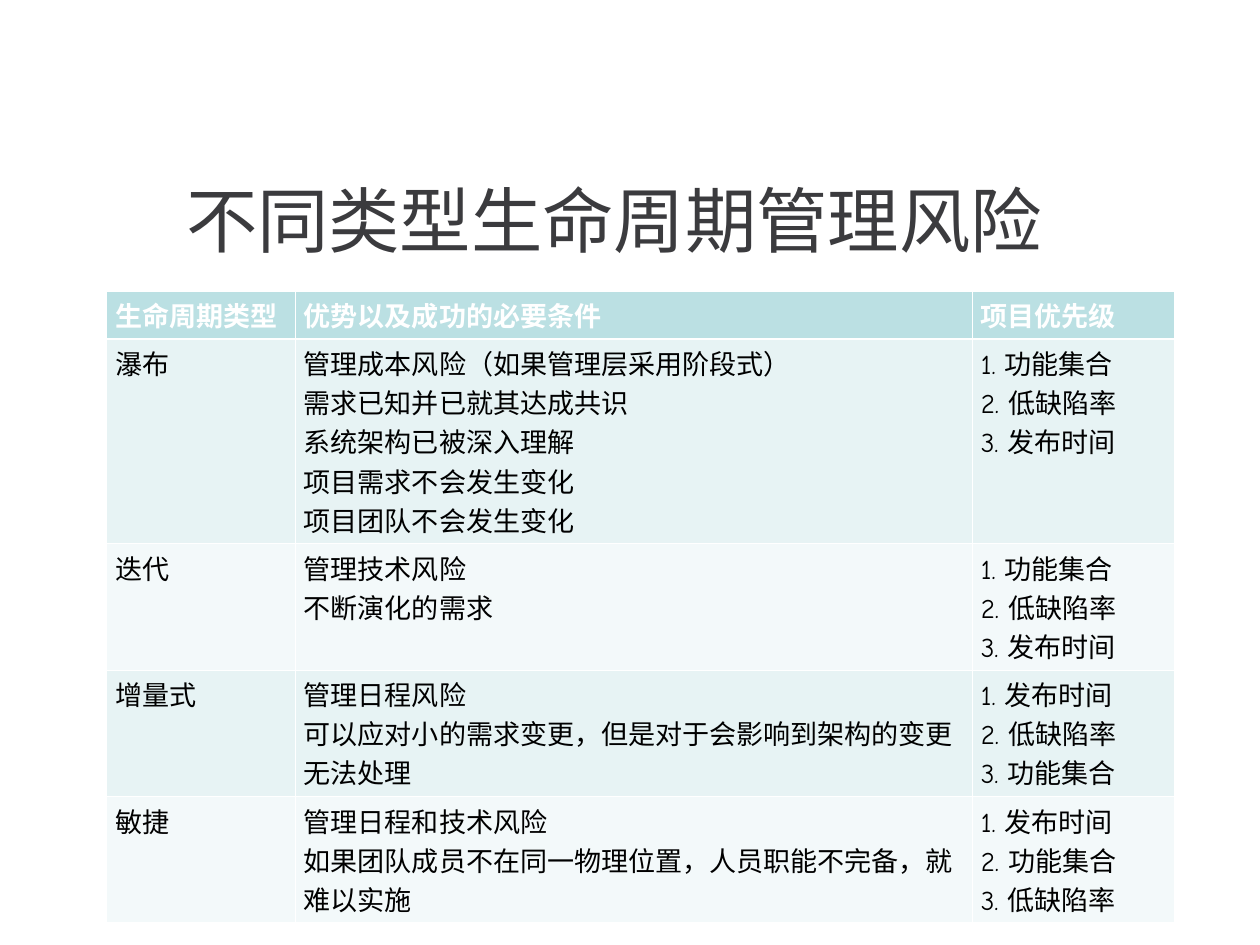
from dataclasses import dataclass

from lxml import etree
from pptx import Presentation
from pptx import util as u
from pptx.dml.color import RGBColor
from pptx.enum import lang, text
from pptx.oxml import ns

PX = u.Inches(1) // 100


@dataclass(frozen=True)
class Theme:
    title_font: str = "Karla"
    body_font: str = "Comic Neue"
    title_size: int = 58
    body_size: int = 22
    title_color: str = "3B3B3E"
    body_color: str = "000000"
    white: str = "FFFFFF"
    header_fill: str = "BBE0E3"
    row_fills: tuple = ("E7F3F4", "F3F9FA")
    thin_border: float = 0.45
    header_border: float = 1.47


THEME = Theme()
COLUMN_WIDTHS = (213, 764, 228)
ROW_HEIGHTS = (49, 193, 120, 121, 121)
HEADERS = ("生命周期类型", "优势以及成功的必要条件", "项目优先级")
LIFE_CYCLES = (
    ("瀑布",
     ("管理成本风险（如果管理层采用阶段式）", "需求已知并已就其达成共识",
      "系统架构已被深入理解", "项目需求不会发生变化", "项目团队不会发生变化"),
     ("功能集合", "低缺陷率", "发布时间")),
    ("迭代",
     ("管理技术风险", "不断演化的需求"),
     ("功能集合", "低缺陷率", "发布时间")),
    ("增量式",
     ("管理日程风险", "可以应对小的需求变更，但是对于会影响到架构的变更无法处理"),
     ("发布时间", "低缺陷率", "功能集合")),
    ("敏捷",
     ("管理日程和技术风险", "如果团队成员不在同一物理位置，人员职能不完备，就难以实施"),
     ("发布时间", "功能集合", "低缺陷率")),
)


def write_text(frame, lines, *, font=THEME.body_font, size=THEME.body_size,
               color=THEME.body_color, bold=False):
    """Fill a text frame with one left-aligned paragraph per line."""
    for index, line in enumerate(lines):
        paragraph = frame.paragraphs[0] if index == 0 else frame.add_paragraph()
        paragraph.alignment = text.PP_ALIGN.LEFT
        run = paragraph.add_run()
        run.text = line
        run.font.name = font
        run.font.size = u.Pt(size)
        run.font.bold = bold
        run.font.color.rgb = RGBColor.from_string(color)
        run.font.language_id = lang.MSO_LANGUAGE_ID.SIMPLIFIED_CHINESE


def add_title(slide, title):
    shape = slide.shapes.title
    shape.left, shape.top, shape.width, shape.height = (
        length * PX for length in (204, 154, 1014, 187))
    frame = shape.text_frame
    frame.word_wrap = True
    frame.auto_size = text.MSO_AUTO_SIZE.NONE
    frame.vertical_anchor = text.MSO_ANCHOR.MIDDLE
    frame.margin_left = frame.margin_right = 6 * PX
    frame.margin_top = frame.margin_bottom = 6 * PX
    write_text(frame, [title], font=THEME.title_font, size=THEME.title_size,
               color=THEME.title_color)


def set_borders(cell, top, bottom):
    """Draw white cell borders; top and bottom are widths in points."""
    properties = cell._tc.get_or_add_tcPr()
    widths = {"L": THEME.thin_border, "R": THEME.thin_border,
              "T": top, "B": bottom}
    for side, width in widths.items():
        line = etree.SubElement(properties, ns.qn(f"a:ln{side}"),
                                w=str(u.Pt(width)))
        fill = etree.SubElement(line, ns.qn("a:solidFill"))
        etree.SubElement(fill, ns.qn("a:srgbClr"), val=THEME.white)


def fill_cell(cell, lines, fill, top, bottom, **text_format):
    set_borders(cell, top, bottom)
    cell.fill.solid()
    cell.fill.fore_color.rgb = RGBColor.from_string(fill)
    cell.margin_left = cell.margin_right = 10 * PX
    cell.margin_top = cell.margin_bottom = 5 * PX
    write_text(cell.text_frame, lines, **text_format)


def add_life_cycle_table(slide):
    table = slide.shapes.add_table(
        len(ROW_HEIGHTS), len(COLUMN_WIDTHS), 120 * PX, 328 * PX,
        sum(COLUMN_WIDTHS) * PX, sum(ROW_HEIGHTS) * PX).table
    table.horz_banding = False
    for column, width in zip(table.columns, COLUMN_WIDTHS):
        column.width = width * PX
    for row, height in zip(table.rows, ROW_HEIGHTS):
        row.height = height * PX

    for column, header in enumerate(HEADERS):
        fill_cell(table.cell(0, column), [header], THEME.header_fill,
                  THEME.thin_border, THEME.header_border,
                  color=THEME.white, bold=True)
    for row, (name, conditions, priorities) in enumerate(LIFE_CYCLES, start=1):
        ranked = [f"{rank}. {goal}" for rank, goal in enumerate(priorities, 1)]
        fill = THEME.row_fills[(row - 1) % 2]
        top = THEME.header_border if row == 1 else THEME.thin_border
        for column, lines in enumerate(([name], conditions, ranked)):
            fill_cell(table.cell(row, column), lines, fill, top,
                      THEME.thin_border)


def main():
    presentation = Presentation()
    presentation.slide_width = 1422 * PX
    presentation.slide_height = 1066 * PX
    slide = presentation.slides.add_slide(presentation.slide_layouts[5])
    add_title(slide, "不同类型生命周期管理风险")
    add_life_cycle_table(slide)
    presentation.save("out.pptx")


if __name__ == "__main__":
    main()
